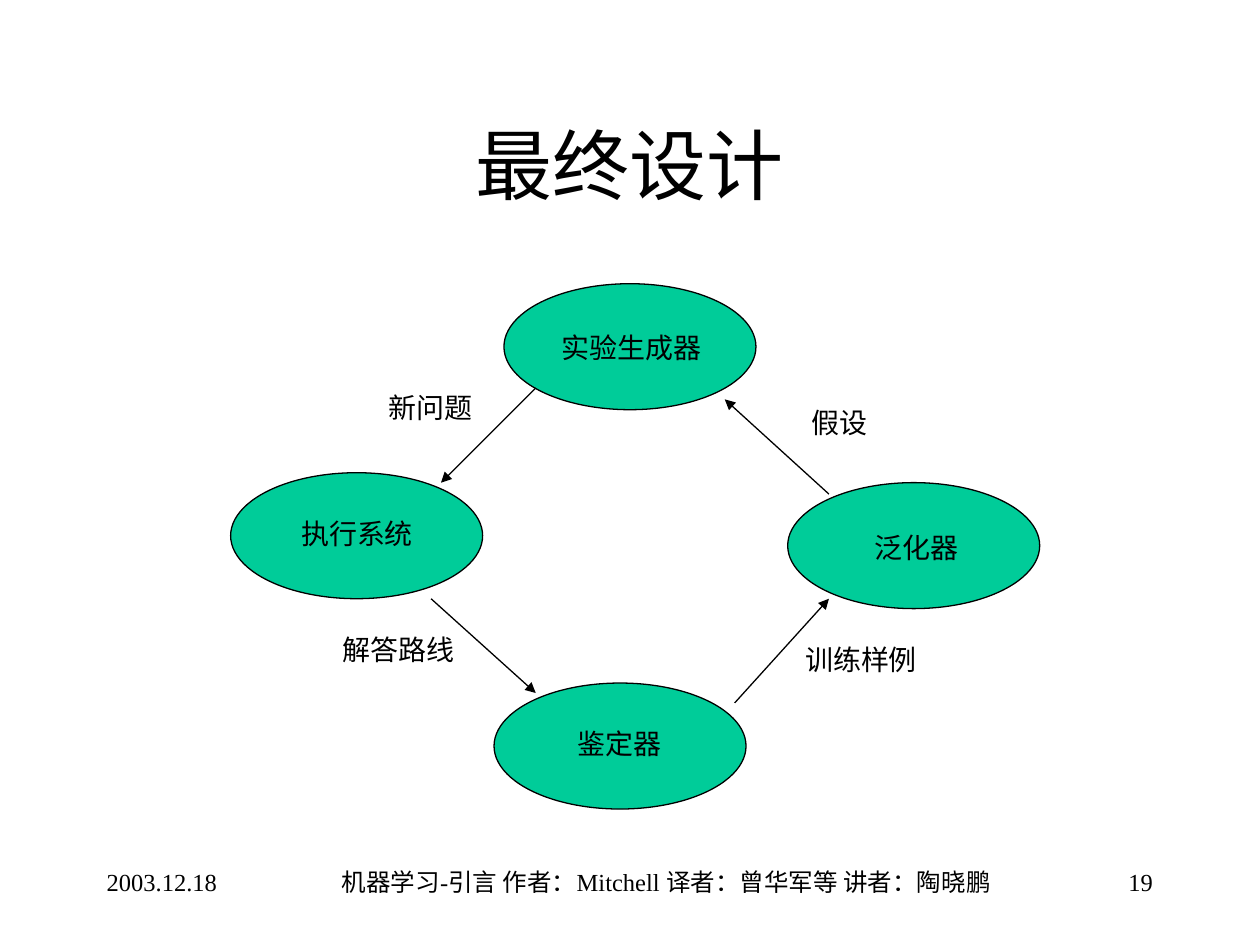
from lxml import etree
from pptx import Presentation
from pptx import util as u
from pptx.dml.color import RGBColor
from pptx.enum import shapes, text
from pptx.oxml.ns import qn

COLORS = {"ink": "000000", "node": "00CC99"}
FONT = "Times New Roman"
LEFT, CENTER, RIGHT = text.PP_ALIGN.LEFT, text.PP_ALIGN.CENTER, text.PP_ALIGN.RIGHT


def write(frame, wording, size, align):
    """Put one formatted run in the first paragraph."""
    frame.word_wrap = True
    paragraph = frame.paragraphs[0]
    paragraph.alignment = align
    run = paragraph.add_run()
    run.text = wording
    run.font.size = u.Pt(size)
    run.font.name = FONT
    run.font.color.rgb = RGBColor.from_string(COLORS["ink"])
    return paragraph


def outline(line):
    line.color.rgb = RGBColor.from_string(COLORS["ink"])
    line.width = u.Pt(0.75)


prs = Presentation()
prs.slide_width, prs.slide_height = u.Cm(25.4), u.Cm(19.05)
slide = prs.slides.add_slide(prs.slide_layouts[5])

# Title
title = slide.shapes.title
title.left, title.top = u.Cm(1.9), u.Cm(1.7)
title.width, title.height = u.Cm(21.59), u.Cm(3.18)
title.text_frame.vertical_anchor = text.MSO_ANCHOR.MIDDLE
title.text_frame.auto_size = text.MSO_AUTO_SIZE.NONE
write(title.text_frame, "最终设计", 44, CENTER)

# Footer row: left, width, side inset, alignment, wording
footers = [
    (1.9, 3.18, 0.25, LEFT, "2003.12.18"),
    (6.35, 14.17, 0, CENTER, "机器学习-引言 作者：Mitchell 译者：曾华军等 讲者：陶晓鹏"),
    (21.79, 1.7, 0.25, RIGHT, "19"),
]
for left, width, inset, align, wording in footers:
    footer = slide.shapes.add_textbox(u.Cm(left), u.Cm(17.35), u.Cm(width), u.Cm(1.27))
    footer.text_frame.margin_left = footer.text_frame.margin_right = u.Cm(inset)
    write(footer.text_frame, wording, 14, align)

# Component ellipses
for left, top in [(10.16, 5.72), (9.96, 13.77), (15.88, 9.73), (4.65, 9.53)]:
    component = slide.shapes.add_shape(
        shapes.MSO_SHAPE.OVAL, u.Cm(left), u.Cm(top), u.Cm(5.08), u.Cm(2.54))
    component.shadow.inherit = False
    component.fill.solid()
    component.fill.fore_color.rgb = RGBColor.from_string(COLORS["node"])
    outline(component.line)

# Arrows round the cycle: start x, y, end x, y
flows = [
    (10.8, 7.82, 8.89, 9.73),
    (8.69, 12.07, 10.8, 13.97),
    (14.81, 14.17, 16.71, 12.07),
    (16.71, 9.96, 14.61, 8.05),
]
for ends in flows:
    flow = slide.shapes.add_connector(
        shapes.MSO_CONNECTOR.STRAIGHT, *[u.Cm(value) for value in ends])
    outline(flow.line)
    etree.SubElement(flow.line._get_or_add_ln(), qn("a:tailEnd"), type="triangle")
    etree.SubElement(flow._element.spPr, qn("a:effectLst"))

# Names of the components, then of the flows between them
labels = [
    (11.07, 6.53, LEFT, "实验生成器"),
    (5.51, 10.29, CENTER, "执行系统"),
    (16.79, 10.57, CENTER, "泛化器"),
    (10.8, 14.53, CENTER, "鉴定器"),
    (6.99, 7.75, CENTER, "新问题"),
    (6.35, 12.62, CENTER, "解答路线"),
    (15.24, 8.05, CENTER, "假设"),
    (15.67, 12.83, CENTER, "训练样例"),
]
for left, top, align, wording in labels:
    label = slide.shapes.add_textbox(u.Cm(left), u.Cm(top), u.Cm(3.38), u.Cm(0.94))
    label.text_frame.auto_size = text.MSO_AUTO_SIZE.SHAPE_TO_FIT_TEXT
    write(label.text_frame, wording, 16, align).space_before = u.Pt(10)

prs.save("out.pptx")
